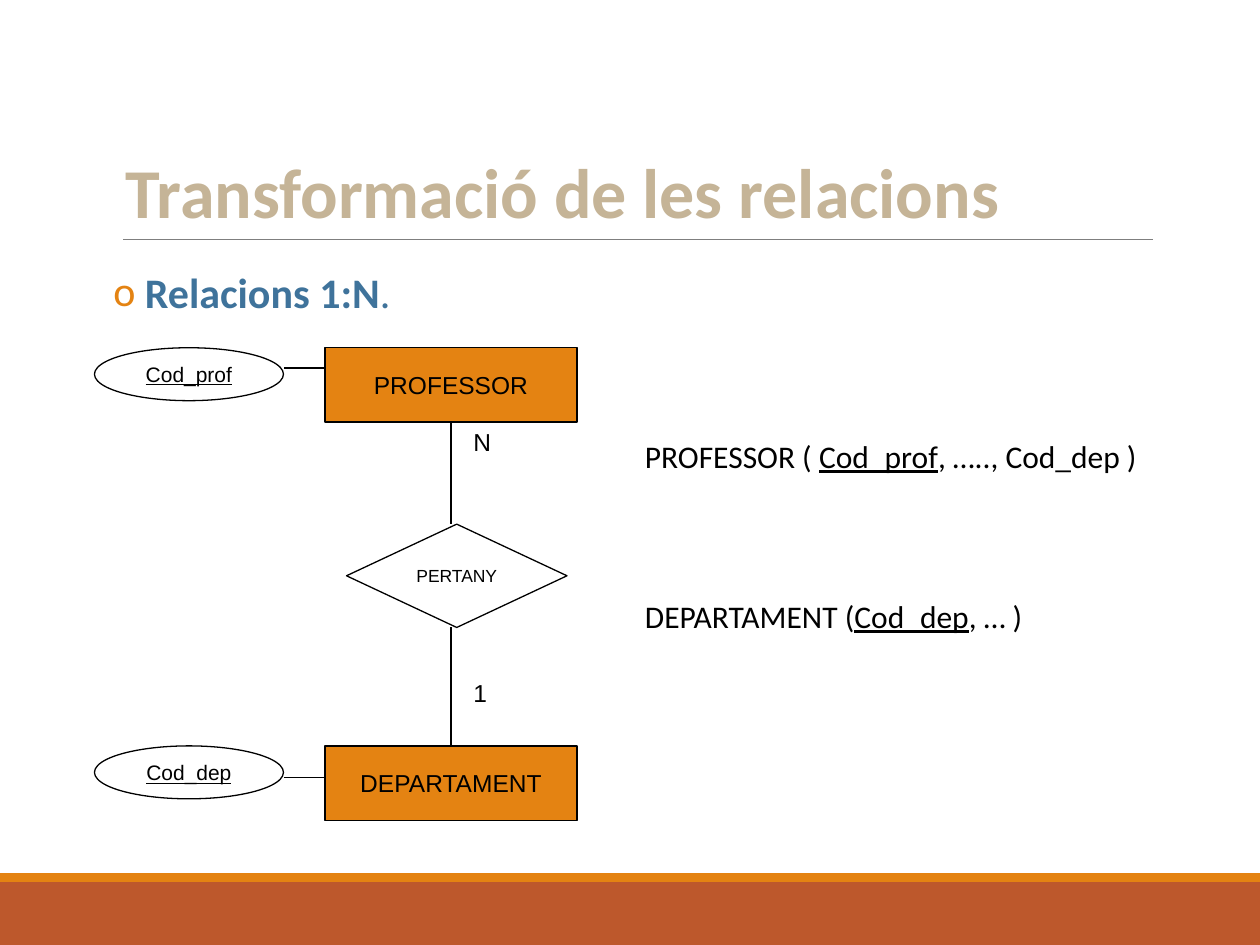
from lxml import etree
from pptx import Presentation
from pptx.dml.color import RGBColor
from pptx.enum.shapes import MSO_CONNECTOR as Connector, MSO_SHAPE as Shape
from pptx.enum.text import MSO_ANCHOR as Anchor, PP_ALIGN as Align
from pptx.oxml.ns import qn
from pptx.util import Inches, Pt

BLACK, WHITE = "000000", "FFFFFF"
ORANGE, RUST, GRAY = "E48312", "BD582C", "7F7F7F"
SAND, BLUE = "C5B497", "3F739B"


def color(value):
    return RGBColor.from_string(value)


def add_runs(para, runs, size, font, ink):
    for text, extra in runs:
        span = para.add_run()
        span.text = text
        formats = {"size": Pt(size), "name": font, **extra}
        for name, value in formats.items():
            setattr(span.font, name, value)
        span.font.color.rgb = color(ink)


def format_para(para, **formats):
    for name, value in formats.items():
        setattr(para, name, value)


def add_text(page, place, paragraphs, size, font, ink=BLACK, anchor=Anchor.TOP, inset=0.1, **formats):
    box = page.shapes.add_textbox(*map(Inches, place))
    frame = box.text_frame
    settings = {"word_wrap": True, "vertical_anchor": anchor,
                "margin_left": Inches(inset), "margin_right": Inches(inset)}
    for name, value in settings.items():
        setattr(frame, name, value)
    for index, runs in enumerate(paragraphs):
        para = frame.add_paragraph() if index else frame.paragraphs[0]
        format_para(para, **formats)
        add_runs(para, runs, size, font, ink)
    return box


def add_bullet(para, character, ink, font, indent):
    props = para._p.get_or_add_pPr()
    props.set("marL", str(Inches(indent)))
    props.set("indent", str(-Inches(indent)))
    bullet_color = etree.SubElement(props, qn("a:buClr"))
    etree.SubElement(bullet_color, qn("a:srgbClr"), val=ink)
    etree.SubElement(props, qn("a:buFont"), typeface=font)
    etree.SubElement(props, qn("a:buChar"), char=character)


def add_figure(page, kind, place, fill=None, line=None, text="", size=14, underline=False):
    figure = page.shapes.add_shape(kind, *map(Inches, place))
    figure.shadow.inherit = False
    if fill:
        figure.fill.solid()
        figure.fill.fore_color.rgb = color(fill)
    else:
        figure.fill.background()
    if line:
        figure.line.color.rgb = color(line)
        figure.line.width = Pt(0.75)
    else:
        figure.line.fill.background()
    if text:
        figure.text_frame.vertical_anchor = Anchor.MIDDLE
        para = figure.text_frame.paragraphs[0]
        para.alignment = Align.CENTER
        add_runs(para, [(text, {"underline": underline})], size, "Arial", BLACK)
    return figure


def add_line(page, start, end, ink=BLACK):
    line = page.shapes.add_connector(Connector.STRAIGHT, *map(Inches, start + end))
    line.line.color.rgb = color(ink)
    line.line.width = Pt(0.75)
    etree.SubElement(line._element.spPr, qn("a:effectLst"))
    return line


def add_entity(page, name, key, top, key_line_top):
    entity = add_figure(page, Shape.RECTANGLE, (2.58, top, 2, 0.59), ORANGE, BLACK, name)
    add_line(page, (2.58, key_line_top), (2.25, key_line_top))
    add_figure(page, Shape.OVAL, (0.75, top, 1.5, 0.42), None, BLACK, key, 12, True)
    return entity


def add_diagram(page):
    professor = add_entity(page, "PROFESSOR", "Cod_prof", 2.76, 2.92)
    department = add_entity(page, "DEPARTAMENT", "Cod_dep", 5.92, 6.17)
    add_figure(page, Shape.FLOWCHART_DECISION, (2.75, 4.16, 1.75, 0.82), WHITE, BLACK, "PERTANY", 10)
    add_line(page, (3.58, 3.35), (3.58, 4.16)).begin_connect(professor, 2)
    add_line(page, (3.58, 4.98), (3.58, 5.92)).end_connect(department, 0)
    for label, top in (("N", 3.34), ("1", 5.33)):
        add_text(page, (3.66, top, 0.5, 0.33), [[(label, {})]], 14, "Arial")


def add_schema(page):
    key = {"underline": True}
    relations = [
        [("PROFESSOR ( ", {}), ("Cod_prof", key), (", ….., Cod_dep )", {})],
        [("DEPARTAMENT (", {}), ("Cod_dep", key), (", … )", {})],
    ]
    box = add_text(page, (5.02, 3.42, 4.98, 1.77), relations, 18, "Calibri", alignment=Align.JUSTIFY)
    box.text_frame.paragraphs[1].space_before = Pt(69.5)


def main():
    deck = Presentation()
    deck.slide_width, deck.slide_height = Inches(10), Inches(7.5)
    page = deck.slides.add_slide(deck.slide_layouts[6])
    add_figure(page, Shape.RECTANGLE, (0, 7, 10, 0.5), RUST)
    add_figure(page, Shape.RECTANGLE, (0, 6.93, 10, 0.07), ORANGE)
    add_line(page, (0.98, 1.9), (9.15, 1.9), GRAY)
    add_text(page, (0.9, 0.31, 8.25, 1.59), [[("Transformació de les relacions", {"bold": True})]],
             40, "Calibri", SAND, Anchor.BOTTOM, line_spacing=0.85)
    heading = [(" ", {}), ("Relacions 1:N", {"bold": True}), (".", {})]
    body = add_text(page, (0.9, 2.11, 8.25, 4.4), [heading], 24, "Calibri", BLUE, inset=0,
                    alignment=Align.JUSTIFY, line_spacing=0.9)
    add_bullet(body.text_frame.paragraphs[0], "o", ORANGE, "Calibri", 0.1)
    add_diagram(page)
    add_schema(page)
    deck.save("out.pptx")


if __name__ == "__main__":
    main()
